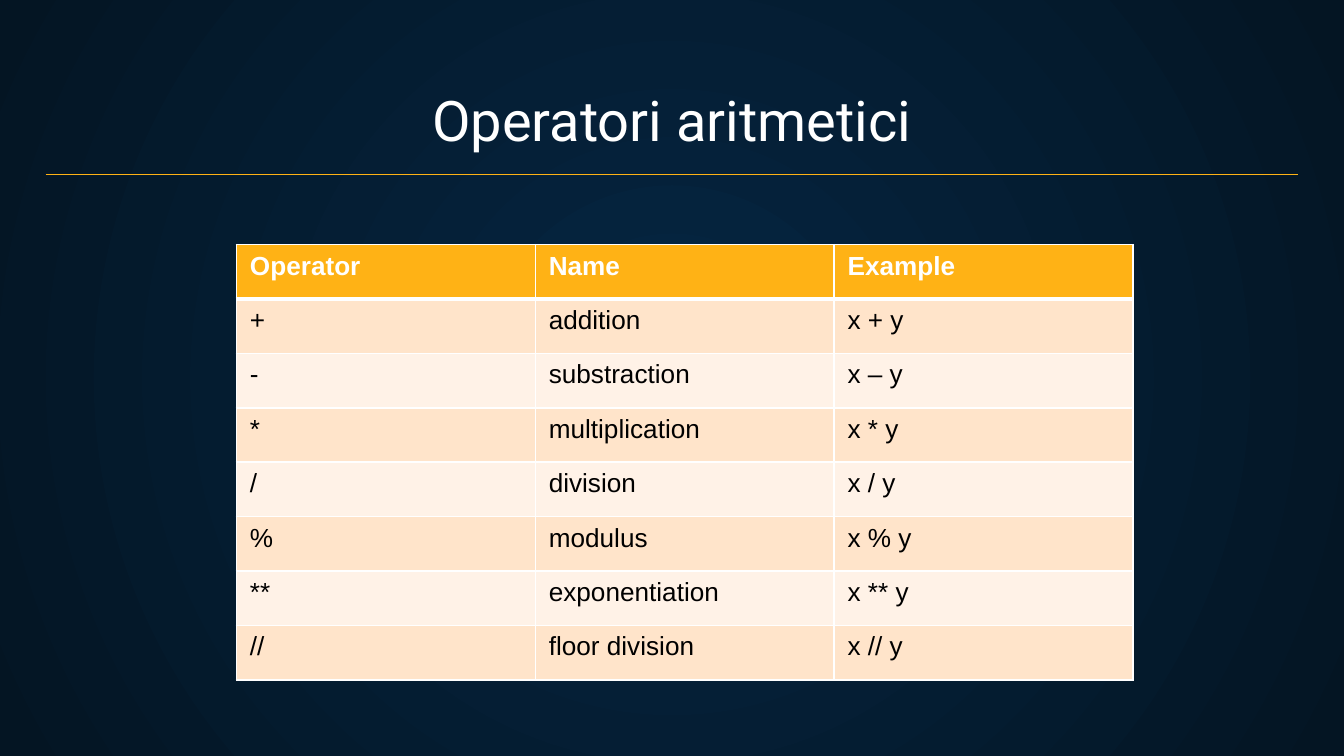
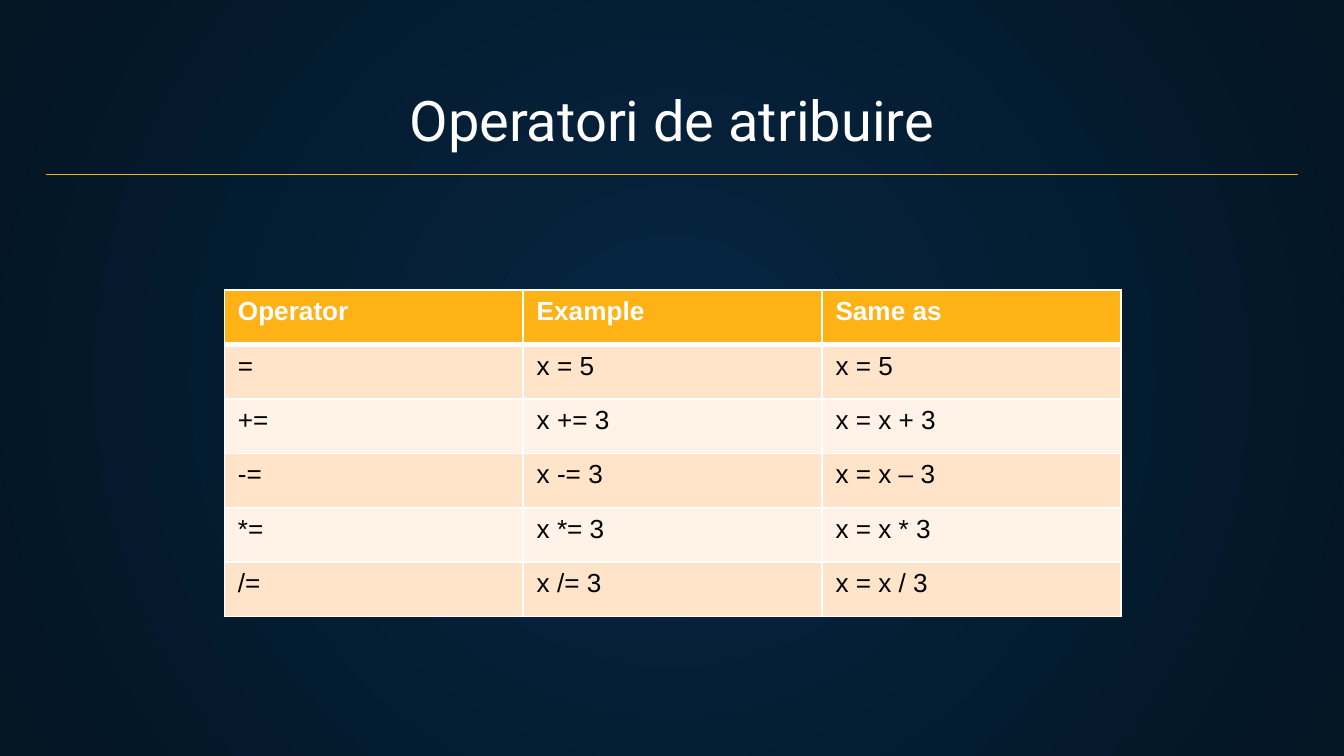
from dataclasses import dataclass

from lxml import etree
from pptx import Presentation
from pptx.dml.color import RGBColor
from pptx.enum.shapes import MSO_CONNECTOR as Connector
from pptx.enum.text import MSO_ANCHOR as Anchor, PP_ALIGN as Align
from pptx.oxml.ns import qn
from pptx.util import Inches, Pt

# Shared colours, fonts and measures
WHITE = RGBColor(0xFF, 0xFF, 0xFF)
BLACK = RGBColor(0x00, 0x00, 0x00)
AMBER = RGBColor(0xFF, 0xB2, 0x15)
PEACH = RGBColor(0xFF, 0xE4, 0xCA)
CREAM = RGBColor(0xFF, 0xF2, 0xE7)
NAVY = RGBColor(0x05, 0x26, 0x43)
MIDNIGHT = RGBColor(0x04, 0x15, 0x23)

TITLE_FONT = {"name": "Roboto", "size": Pt(30)}
TABLE_FONT = {"name": "Arial", "size": Pt(14)}
PAGE_WIDTH = Inches(10)
PAGE_HEIGHT = PAGE_WIDTH * 9 // 16
MARGIN = Inches(0.34)
CONTENT_WIDTH = Inches(9.32)
RULE_TOP = Inches(1.3)
TABLE_WIDTH = Inches(6.67)
ROW_HEIGHT = Inches(0.81) // 2
THIN, THICK = Pt(1), Pt(3)


@dataclass
class OperatorPage:
    title: str
    left: float
    top: float
    rows: list[tuple[str, ...]]


PAGES = [
    OperatorPage("Operatori aritmetici", 1.76, 1.82, [
        ("Operator", "Name", "Example"),
        ("+", "addition", "x + y"),
        ("-", "substraction", "x – y"),
        ("*", "multiplication", "x * y"),
        ("/", "division", "x / y"),
        ("%", "modulus", "x % y"),
        ("**", "exponentiation", "x ** y"),
        ("//", "floor division", "x // y"),
    ]),
    OperatorPage("Operatori de atribuire", 1.67, 2.16, [
        ("Operator", "Example", "Same as"),
        ("=", "x = 5", "x = 5"),
        ("+=", "x += 3", "x = x + 3"),
        ("-=", "x -= 3", "x = x – 3"),
        ("*=", "x *= 3", "x = x * 3"),
        ("/=", "x /= 3", "x = x / 3"),
    ]),
]


def write_text(frame, text: str, font: dict, color: RGBColor, bold: bool = False) -> None:
    span = frame.paragraphs[0].add_run()
    span.text = text
    for name, value in {**font, "bold": bold}.items():
        setattr(span.font, name, value)
    span.font.color.rgb = color


def paint_background(page) -> None:
    """Fill the page with a gradient that darkens from the centre outwards."""
    fill = page.background.fill
    fill.gradient()
    for stop, color in zip(fill.gradient_stops, (NAVY, MIDNIGHT)):
        stop.color.rgb = color
    gradient = page.element.find(".//" + qn("a:gradFill"))
    gradient.remove(gradient.find(qn("a:lin")))
    circle = etree.SubElement(gradient, qn("a:path"), path="circle")
    etree.SubElement(circle, qn("a:fillToRect"), {side: "50000" for side in "ltrb"})


def add_title(page, title: str) -> None:
    box = page.shapes.add_textbox(MARGIN, Inches(0.57), CONTENT_WIDTH, Inches(0.67))
    frame = box.text_frame
    settings = {"word_wrap": True, "vertical_anchor": Anchor.BOTTOM}
    for side in ("left", "top", "right", "bottom"):
        settings[f"margin_{side}"] = Inches(0.1)
    for name, value in settings.items():
        setattr(frame, name, value)
    frame.paragraphs[0].alignment = Align.CENTER
    write_text(frame, title, TITLE_FONT, WHITE)

    # Rule under the title
    rule = page.shapes.add_connector(
        Connector.STRAIGHT, MARGIN, RULE_TOP, MARGIN + CONTENT_WIDTH, RULE_TOP)
    rule.line.color.rgb = AMBER
    rule.line.width = Pt(0.75)
    etree.SubElement(rule.element.spPr, qn("a:effectLst"))


def add_borders(cell, top: int, bottom: int) -> None:
    properties = cell._tc.get_or_add_tcPr()
    for side, width in {"L": THIN, "R": THIN, "T": top, "B": bottom}.items():
        line = etree.SubElement(properties, qn(f"a:ln{side}"), w=str(width))
        solid = etree.SubElement(line, qn("a:solidFill"))
        etree.SubElement(solid, qn("a:srgbClr"), val=str(WHITE))


def add_operator_table(page, content: OperatorPage) -> None:
    rows = content.rows
    table = page.shapes.add_table(
        len(rows), len(rows[0]), Inches(content.left), Inches(content.top),
        TABLE_WIDTH, ROW_HEIGHT * len(rows)).table
    for row, values in enumerate(rows):
        header = row == 0
        fill = AMBER if header else (CREAM, PEACH)[row % 2]
        for column, value in enumerate(values):
            cell = table.cell(row, column)
            add_borders(cell, THICK if row == 1 else THIN, THICK if header else THIN)
            cell.fill.solid()
            cell.fill.fore_color.rgb = fill
            write_text(cell.text_frame, value, TABLE_FONT,
                       WHITE if header else BLACK, bold=header)


def main() -> None:
    deck = Presentation()
    deck.slide_width, deck.slide_height = PAGE_WIDTH, PAGE_HEIGHT
    for content in PAGES:
        page = deck.slides.add_slide(deck.slide_layouts[6])
        paint_background(page)
        add_title(page, content.title)
        add_operator_table(page, content)
    deck.save("out.pptx")


if __name__ == "__main__":
    main()
